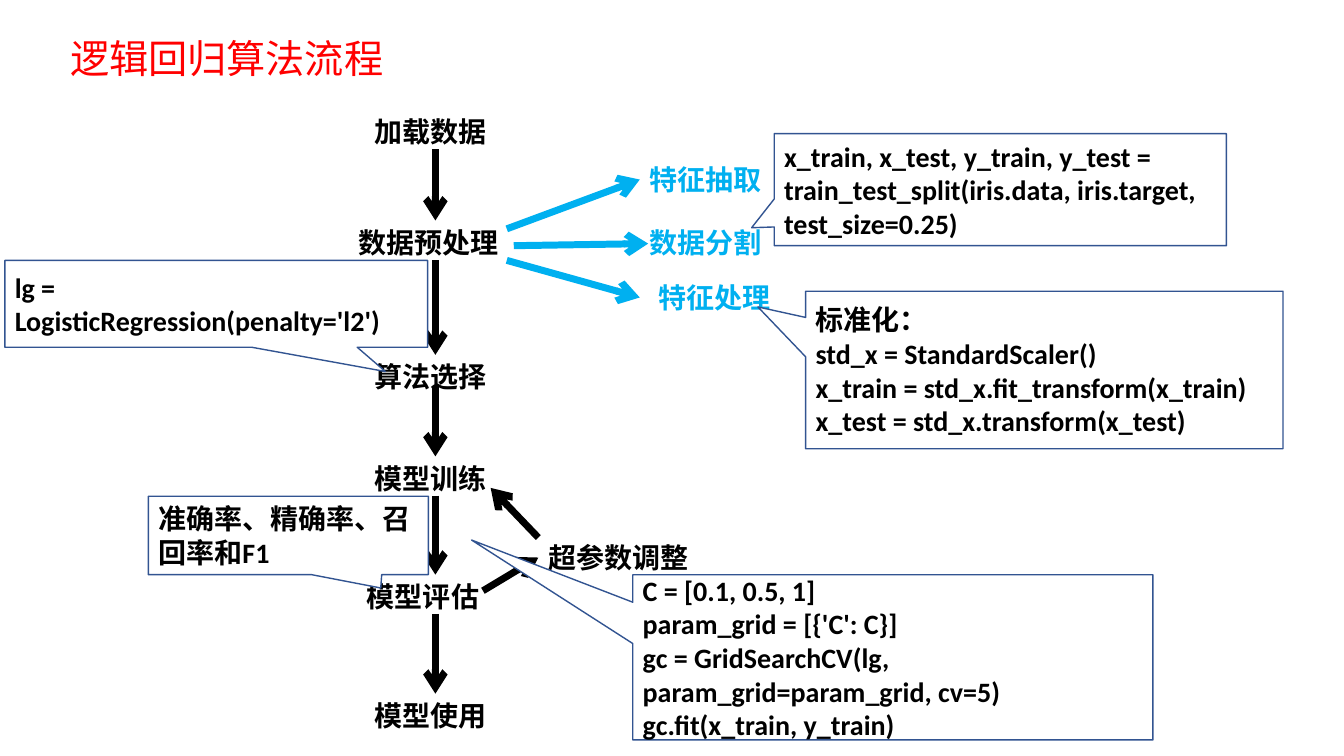
from lxml.etree import SubElement
from pptx import Presentation
from pptx.dml.color import RGBColor
from pptx.enum.shapes import MSO_CONNECTOR as Connector, MSO_SHAPE as Shape
from pptx.enum.text import MSO_ANCHOR as Anchor, MSO_AUTO_SIZE as AutoSize, PP_ALIGN as Align
from pptx.oxml.ns import qn
from pptx.util import Pt

BLACK = RGBColor(0x00, 0x00, 0x00)
WHITE = RGBColor(0xFF, 0xFF, 0xFF)
RED = RGBColor(0xFF, 0x00, 0x00)
SKY = RGBColor(0x00, 0xB0, 0xF0)
NAVY = RGBColor(0x32, 0x54, 0x91)
LATIN = "Calibri"
CHINESE = "Noto Sans CJK SC"
LABEL_HEIGHT = 31.5
FLOW_X = 311

STEPS = [
    ("加载数据", 260.5, 78.5, 96, 106.5),
    ("数据预处理", 249, 157.5, 116, 186),
    ("算法选择", 260.5, 253.5, 96, 276),
    ("模型训练", 260.5, 326, 96, 354),
    ("模型评估", 255, 410.5, 101.5, 438.5),
    ("模型使用", 260.5, 495.5, 96, None),
]
FEATURES = [
    ("特征抽取", 457, 112.5),
    ("数据分割", 457, 157.5),
    ("特征处理", 463, 196.5),
]
CALLOUTS = [
    ("标准化：\nstd_x = StandardScaler()\n"
     "x_train = std_x.fit_transform(x_train)\nx_test = std_x.transform(x_test)",
     (575.5, 208, 341, 112.5), (-0.6, -0.4)),
    ("lg = LogisticRegression(penalty='l2')",
     (3.5, 186, 302, 62), (0.4, 0.78)),
    ("x_train, x_test, y_train, y_test = "
     "train_test_split(iris.data, iris.target, test_size=0.25)",
     (553, 95.5, 323, 80), (-0.55, 0.34)),
    ("C = [0.1, 0.5, 1]\nparam_grid = [{'C': C}]\n"
     "gc = GridSearchCV(lg, param_grid=param_grid, cv=5)\ngc.fit(x_train, y_train)",
     (452, 410.5, 371.5, 118), (-0.81, -0.71)),
    ("准确率、精确率、召回率和F1",
     (106, 354.5, 200, 56), (0.33, 0.67)),
]


def write_text(text_frame, text, color, size=20, bold=True, latin=LATIN):
    text_frame.text = text
    for paragraph in text_frame.paragraphs:
        paragraph.alignment = Align.LEFT
        for run in paragraph.runs:
            font = run.font
            font.size = Pt(size)
            font.bold = bold
            font.color.rgb = color
            font.name = latin
            SubElement(run._r.get_or_add_rPr(), qn("a:ea"), typeface=CHINESE)


def add_label(slide, text, left, top, width, color=BLACK, height=LABEL_HEIGHT,
              wrap=False, **style):
    label = slide.shapes.add_textbox(Pt(left), Pt(top), Pt(width), Pt(height))
    label.text_frame.word_wrap = wrap
    label.text_frame.auto_size = AutoSize.SHAPE_TO_FIT_TEXT
    write_text(label.text_frame, text, color, **style)
    return label


def add_arrow(slide, start, end, color=BLACK, target=None):
    arrow = slide.shapes.add_connector(
        Connector.STRAIGHT, *(Pt(value) for value in start + end))
    arrow.line.color.rgb = color
    arrow.line.width = Pt(5)
    SubElement(arrow.line._get_or_add_ln(), qn("a:tailEnd"), type="arrow")
    SubElement(arrow._element.spPr, qn("a:effectLst"))
    if target is not None:
        arrow.end_connect(target, 1)


def add_callout(slide, text, box, pointer):
    callout = slide.shapes.add_shape(
        Shape.RECTANGULAR_CALLOUT, *(Pt(value) for value in box))
    callout.shadow.inherit = False
    callout.adjustments[0], callout.adjustments[1] = pointer
    callout.fill.solid()
    callout.fill.fore_color.rgb = WHITE
    callout.line.color.rgb = NAVY
    callout.line.width = Pt(1)
    callout.text_frame.word_wrap = True
    callout.text_frame.vertical_anchor = Anchor.MIDDLE
    write_text(callout.text_frame, text, BLACK)


def add_flow(slide):
    for text, left, top, width, _ in STEPS:
        add_label(slide, text, left, top, width, wrap=text == "模型评估")
    for step, following in zip(STEPS, STEPS[1:]):
        add_arrow(slide, (FLOW_X, step[4]), (FLOW_X, following[2]))


def add_features(slide):
    extraction, _, _ = [
        add_label(slide, text, left, top, 96, SKY) for text, left, top in FEATURES]
    add_arrow(slide, (362, 163.5), (457, 128.25), SKY, extraction)
    add_arrow(slide, (367, 175.5), (463, 174), SKY)
    add_arrow(slide, (362, 186), (457, 212.5), SKY)


def add_tuning(slide):
    tuning = add_label(slide, "超参数调整", 384.5, 382.5, 116)
    add_arrow(slide, (384.5, 384), (350.5, 348.5))
    add_arrow(slide, (345, 422), (384.5, 398.25), target=tuning)


def main():
    presentation = Presentation()
    presentation.slide_width = Pt(960)
    presentation.slide_height = Pt(540)
    slide = presentation.slides.add_slide(presentation.slide_layouts[6])
    add_label(slide, "逻辑回归算法流程", 43, 21, 240.5, RED, height=41,
              size=28, bold=False, latin=CHINESE)
    add_flow(slide)
    add_features(slide)
    add_tuning(slide)
    for text, box, pointer in CALLOUTS:
        add_callout(slide, text, box, pointer)
    presentation.save("out.pptx")


if __name__ == "__main__":
    main()
